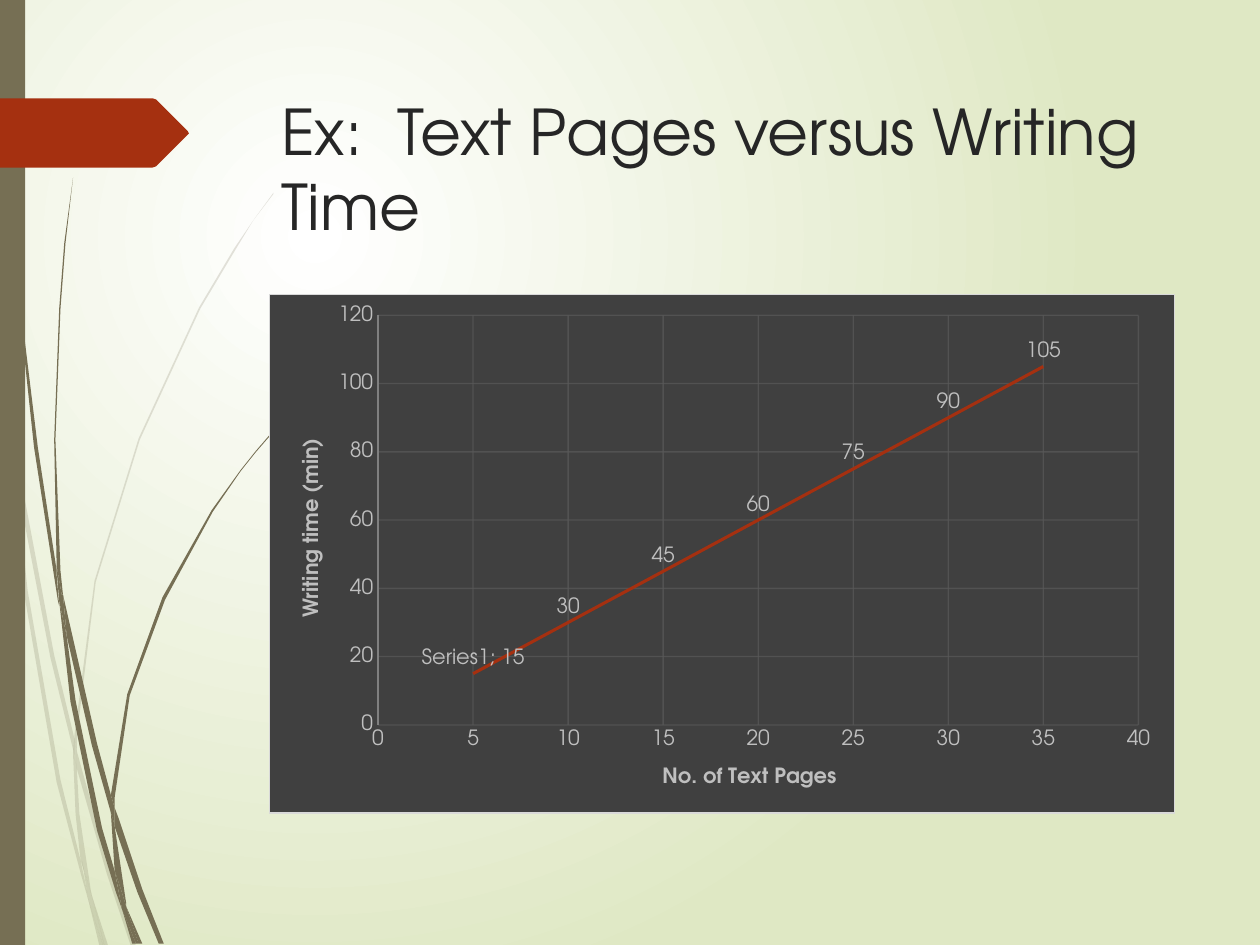
from pptx import Presentation
from pptx.chart.data import XyChartData
from pptx.chart.datalabel import DataLabels
from pptx.dml.color import RGBColor
from pptx.enum.chart import XL_CHART_TYPE as ChartType
from pptx.enum.chart import XL_LABEL_POSITION as LabelPosition
from pptx.enum.chart import XL_TICK_MARK as TickMark
from pptx.enum.shapes import MSO_SHAPE as Shape
from pptx.enum.text import MSO_ANCHOR as Anchor
from pptx.enum.text import PP_ALIGN as Align
from pptx.oxml import parse_xml
from pptx.oxml.ns import nsdecls, qn
from pptx.util import Pt

FONT = "TeX Gyre Adventor"
COLORS = {
    "stem": "766F54", "accent": "A53010", "title": "262626",
    "center": "FFFFFF", "edge": "DFE8C4", "panel": "404040",
    "border": "D9D9D9", "label": "BFBFBF", "axis": "808080", "grid": "595959",
}
GRID = 0.72  # points per unit of the outlines below

PALE_BLADES = [
    [(8, 350), (6, 322), (0, 282), (0, 299), (7, 344)],
    [(40, 522), (59, 599), (59, 586), (43, 520), (10, 345), (12, 376)],
    [(64, 607), (61, 596), (61, 610), (85, 694), (104, 751), (108, 751), (88, 692)],
    [(83, 751), (86, 751), (73, 711)],
    [(64, 683), (48, 619), (22, 469), (12, 376), (8, 350), (19, 470), (45, 621),
     (64, 693), (70, 714), (69, 707)],
    [(58, 599), (60, 646), (64, 683), (67, 692), (73, 711), (72, 706), (63, 646),
     (61, 610), (61, 608)],
    [(61, 584), (76, 462), (111, 349), (159, 245), (187, 198), (201, 175), (217, 154),
     (217, 153), (201, 175), (186, 197), (158, 244), (110, 348), (75, 461), (59, 584),
     (59, 586), (61, 596)],
    [(70, 714), (79, 751), (82, 751)],
    [(61, 608), (61, 610), (61, 596), (59, 586), (58, 599)],
    [(67, 692), (65, 683), (69, 707), (70, 714), (82, 751), (83, 751), (73, 711)],
]
DARK_BLADES = [
    [(5, 110), (14, 233), (27, 355), (46, 477), (47, 481), (45, 457), (45, 453),
     (30, 355), (15, 232), (6, 109), (4, 48), (3, 0), (2, 0), (3, 48)],
    [(73, 592), (88, 645), (88, 633), (88, 631), (77, 590), (50, 472), (53, 505)],
    [(94, 649), (91, 641), (91, 656), (109, 708), (126, 749), (130, 749), (113, 706)],
    [(91, 691), (81, 657), (60, 556), (53, 505), (47, 477), (56, 557), (77, 659),
     (92, 708), (97, 722), (96, 717)],
    [(50, 472), (48, 453), (44, 349), (48, 245), (52, 193), (58, 141), (57.5, 141),
     (51, 193), (47, 245), (43, 349), (45, 449), (49, 472)],
    [(110, 749), (113, 749), (100, 719)],
    [(47, 477), (53, 505), (50, 472), (49, 472), (45, 449), (45, 453)],
    [(91, 633), (103, 552), (131, 476), (169, 406), (191, 374), (203, 359), (216, 344),
     (215, 344), (203, 358), (191, 373), (168, 405), (129, 474), (101, 551), (88, 631),
     (91, 641)],
    [(97, 722), (105, 749), (108, 749)],
    [(88, 645), (91, 691), (96, 706), (100, 719), (100, 716), (91, 656), (90, 651)],
    [(88, 645), (90, 651), (91, 656), (91, 641), (88, 631), (88, 633)],
    [(96, 706), (91, 691), (96, 717), (97, 722), (108, 749), (110, 749), (100, 719)],
]
PENNANT = [(149, 107), (124, 132), (121, 133), (0, 133), (0, 78), (121, 78),
           (124, 79), (149, 104), (149.5, 105.5)]


def rgb(name):
    return RGBColor.from_string(COLORS[name])


def set_values(target, values):
    for name, value in values.items():
        setattr(target, name, value)


def set_alpha(element, percent):
    for color in element.iter(qn("a:srgbClr")):
        color.append(parse_xml(f'<a:alpha {nsdecls("a")} val="{percent * 1000}"/>'))


def style_font(font, size, color, bold=False):
    set_values(font, {"name": FONT, "size": Pt(size), "bold": bold})
    font.color.rgb = rgb(color)


def style_line(line, color, width):
    line.color.rgb = rgb(color)
    line.width = Pt(width)


def paint(shape, color):
    shape.shadow.inherit = False
    shape.fill.solid()
    shape.fill.fore_color.rgb = rgb(color)
    shape.line.fill.background()


def add_outline(slide, points, color, alpha=100):
    builder = slide.shapes.build_freeform(*points[0], scale=Pt(GRID))
    builder.add_line_segments(points[1:], close=True)
    outline = builder.convert_to_shape()
    paint(outline, color)
    if alpha < 100:
        set_alpha(outline.fill._xPr, alpha)


def add_background(slide):
    """Radial gradient centred a quarter of the way in from the top left."""
    fill = slide.background.fill
    fill.gradient()
    for stop, name in zip(fill.gradient_stops, ("center", "edge")):
        stop.color.rgb = rgb(name)
    gradient = slide._element.find(".//" + qn("a:gradFill"))
    gradient.replace(gradient.find(qn("a:lin")), parse_xml(
        f'<a:path {nsdecls("a")} path="circle">'
        '<a:fillToRect l="50000" t="50000" r="100000" b="100000"/></a:path>'))


def add_decoration(slide):
    for blade in PALE_BLADES:
        add_outline(slide, blade, "stem", alpha=20)
    for blade in DARK_BLADES:
        add_outline(slide, blade, "stem")
    side_bar = slide.shapes.add_shape(Shape.RECTANGLE, 0, 0, Pt(14.4), Pt(540))
    paint(side_bar, "stem")
    add_outline(slide, PENNANT, "accent")


def set_title(slide, text):
    title = slide.shapes.title
    set_values(title, {"left": Pt(153.4), "top": Pt(49), "width": Pt(519), "height": Pt(100.8)})
    title.text_frame.text = text
    set_values(title.text_frame, {"word_wrap": True, "vertical_anchor": Anchor.TOP})
    paragraph = title.text_frame.paragraphs[0]
    paragraph.alignment = Align.LEFT
    style_font(paragraph.runs[0].font, 36, "title")


def place(element, **fractions):
    """Fix a chart part at fractions of the chart's size."""
    for old in element.findall(qn("c:layout")):
        element.remove(old)
    target = '<c:layoutTarget val="inner"/>' if "w" in fractions else ""
    modes = "".join(f'<c:{k}Mode val="edge"/>' for k in fractions if k in "xy")
    values = "".join(f'<c:{k} val="{v}"/>' for k, v in fractions.items())
    layout = parse_xml(f'<c:layout {nsdecls("c")}><c:manualLayout>{target}{modes}{values}'
                       '</c:manualLayout></c:layout>')
    text = element.find(qn("c:tx"))
    if text is None:
        element.insert(0, layout)
    else:
        text.addnext(layout)


def style_axis(axis, title, maximum, step, x, y):
    set_values(axis, {
        "minimum_scale": 0, "maximum_scale": maximum, "major_unit": step,
        "major_tick_mark": TickMark.NONE, "minor_tick_mark": TickMark.NONE,
        "has_major_gridlines": True, "has_title": True,
    })
    style_font(axis.tick_labels.font, 12, "label")
    style_line(axis.major_gridlines.format.line, "grid", 0.75)
    set_alpha(axis.major_gridlines.format.line._ln, 75)
    frame = axis.axis_title.text_frame
    frame.text = title
    style_font(frame.paragraphs[0].runs[0].font, 12, "label", bold=True)
    place(axis.axis_title._element, x=x, y=y)


def style_labels(series):
    labels = DataLabels(series._element.get_or_add_dLbls())
    set_values(labels, {"show_value": True, "position": LabelPosition.ABOVE})
    style_font(labels.font, 12, "label")
    first = series.points[0].data_label
    first.position = LabelPosition.ABOVE
    style_font(first.font, 12, "label")
    first_label = series._element.find(".//" + qn("c:dLbl"))
    first_label.find(qn("c:showSerName")).set("val", "1")
    first_label.append(parse_xml(f'<c:separator {nsdecls("c")}>; </c:separator>'))


def add_time_chart(slide):
    data = XyChartData()
    times = data.add_series("Series1")
    for pages in range(5, 40, 5):
        times.add_data_point(pages, pages * 3)
    chart = slide.shapes.add_chart(ChartType.XY_SCATTER_LINES_NO_MARKERS, Pt(153.6), Pt(168),
                                   Pt(518), Pt(297), data).chart
    set_values(chart, {"has_legend": False, "has_title": False})
    style_font(chart.font, 10, "label")
    chart._chartSpace.find(qn("c:txPr")).addprevious(parse_xml(
        f'<c:spPr {nsdecls("c", "a")}><a:solidFill><a:srgbClr val="{COLORS["panel"]}"/>'
        f'</a:solidFill><a:ln w="{Pt(0.75)}"><a:solidFill><a:srgbClr val="{COLORS["border"]}"/>'
        '</a:solidFill></a:ln></c:spPr>'))
    place(chart._chartSpace.find(".//" + qn("c:plotArea")), x=0.12, y=0.04, w=0.84, h=0.79)

    pages_axis, time_axis = chart.category_axis, chart.value_axis
    style_axis(pages_axis, "No. of Text Pages", 40, 5, x=0.43, y=0.9)
    style_axis(time_axis, "Writing time (min)", 120, 20, x=0.03, y=0.27)
    pages_axis.format.line.fill.background()
    style_line(time_axis.format.line, "axis", 0.75)
    time_axis.axis_title._element.find(".//" + qn("a:bodyPr")).set("rot", "-5400000")

    chart.plots[0].vary_by_categories = False
    series = chart.plots[0].series[0]
    series._element.get_or_add_smooth().val = False
    style_line(series.format.line, "accent", 1.75)
    style_labels(series)


def main():
    deck = Presentation()
    set_values(deck, {"slide_width": Pt(720), "slide_height": Pt(540)})
    slide = deck.slides.add_slide(deck.slide_layouts[5])
    add_background(slide)
    add_decoration(slide)
    set_title(slide, "Ex:  Text Pages versus Writing Time")
    add_time_chart(slide)
    deck.save("out.pptx")


if __name__ == "__main__":
    main()
